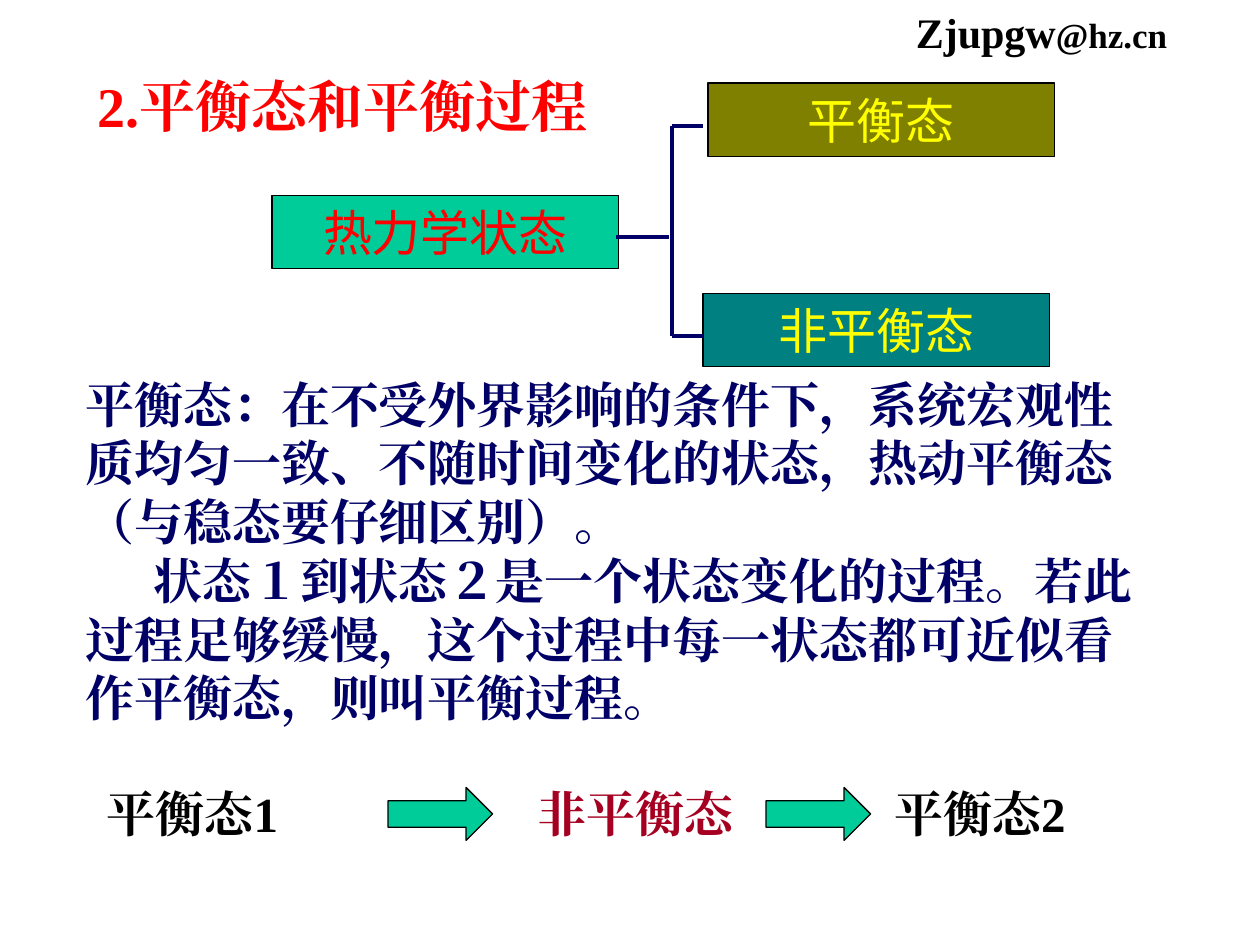
from lxml import etree
from pptx import Presentation
from pptx.dml.color import RGBColor
from pptx.enum.lang import MSO_LANGUAGE_ID as Language
from pptx.enum.shapes import MSO_CONNECTOR as Connector, MSO_SHAPE as Shape
from pptx.enum.text import MSO_ANCHOR as Anchor, PP_ALIGN as Align
from pptx.oxml.ns import qn
from pptx.util import Inches, Pt

SERIF = "Times New Roman"
NAVY, GREEN, RED, YELLOW, BLACK = "000066", "00CC99", "FF0000", "FFFF00", "000000"


def color(value):
    return RGBColor.from_string(value)


def box_inches(box):
    return [Inches(length) for length in box]


def format_run(run, size, value, name=SERIF, bold=True):
    font = run.font
    font.size, font.bold, font.name = Pt(size), bold, name
    font.color.rgb = color(value)
    font.language_id = Language.SIMPLIFIED_CHINESE
    latin = run._r.rPr.find(qn("a:latin"))
    east_asian = etree.Element(qn("a:ea"), typeface=name)
    latin.addnext(east_asian)


def add_text_shadow(run):
    effects = etree.Element(qn("a:effectLst"))
    shadow = etree.SubElement(effects, qn("a:outerShdw"),
                              dist="25400", dir="2700000", algn="tl")
    etree.SubElement(shadow, qn("a:srgbClr"), val="808080")
    run._r.rPr.find(qn("a:solidFill")).addnext(effects)


def add_title(slide, box, text):
    title = slide.shapes.title
    title.left, title.top, title.width, title.height = box_inches(box)
    frame = title.text_frame
    frame.text = text
    frame.vertical_anchor = Anchor.MIDDLE
    paragraph = frame.paragraphs[0]
    paragraph.alignment = Align.LEFT
    format_run(paragraph.runs[0], 32, RED)
    add_text_shadow(paragraph.runs[0])


def add_text(slide, box, paragraphs, value=BLACK):
    frame = slide.shapes.add_textbox(*box_inches(box)).text_frame
    frame.word_wrap = True
    for index, text in enumerate(paragraphs):
        paragraph = frame.add_paragraph() if index else frame.paragraphs[0]
        paragraph.text = text
        paragraph.line_spacing = Pt(33.6)
        if index:
            paragraph._p.get_or_add_pPr().set("indent", str(Inches(0.54)))
        format_run(paragraph.runs[0], 28, value)


def add_filled_shape(slide, kind, box, fill):
    shape = slide.shapes.add_shape(kind, *box_inches(box))
    shape.shadow.inherit = False
    shape.fill.solid()
    shape.fill.fore_color.rgb = color(fill)
    shape.line.color.rgb = color(BLACK)
    shape.line.width = Pt(0.75)
    return shape


def add_state_box(slide, left, top, text, fill, value):
    shape = add_filled_shape(slide, Shape.RECTANGLE, (left, top, 2.75, 0.58), fill)
    frame = shape.text_frame
    frame.text = text
    frame.word_wrap = False
    frame.vertical_anchor = Anchor.MIDDLE
    paragraph = frame.paragraphs[0]
    paragraph.alignment = Align.CENTER
    format_run(paragraph.runs[0], 28, value, "Roboto", False)


def add_line(slide, *ends):
    line = slide.shapes.add_connector(Connector.STRAIGHT, *box_inches(ends))
    line.line.color.rgb = color(NAVY)
    line.line.width = Pt(2.25)
    etree.SubElement(line._element.spPr, qn("a:effectLst"))


def add_state_tree(slide, left, top):
    add_state_box(slide, left, top + 0.89, "热力学状态", GREEN, RED)
    add_state_box(slide, left + 3.46, top, "平衡态", "808000", YELLOW)
    add_state_box(slide, left + 3.42, top + 1.67, "非平衡态", "008080", YELLOW)
    trunk, middle = left + 3.17, top + 1.17
    add_line(slide, left + 2.73, top + 1.22, left + 3.15, top + 1.22)
    for branch in (top + 0.34, top + 2.01):
        add_line(slide, trunk, middle, trunk, branch)
        add_line(slide, trunk, branch, trunk + 0.25, branch)


def add_process(slide, top):
    states = (("平衡态1", 0.75, BLACK), ("非平衡态", 4.17, "A50021"), ("平衡态2", 7, BLACK))
    for text, left, value in states:
        add_text(slide, (left, top, 2.05, 0.57), [text], value)
    for left in (3.08, 6.08):
        add_filled_shape(slide, Shape.RIGHT_ARROW, (left, top + 0.08, 0.83, 0.42), GREEN)


def add_address(slide, box):
    frame = slide.shapes.add_textbox(*box_inches(box)).text_frame
    frame.word_wrap = True
    for text, size in (("Zjupgw", 24), ("@hz.cn", 20)):
        run = frame.paragraphs[0].add_run()
        run.text = text
        format_run(run, size, BLACK)


def main():
    presentation = Presentation()
    presentation.slide_width, presentation.slide_height = Inches(10), Inches(7.5)
    slide = presentation.slides.add_slide(presentation.slide_layouts[5])
    add_title(slide, (0.67, 0.5, 5.17, 0.67), "2.平衡态和平衡过程")
    add_state_tree(slide, 2.16, 0.66)
    add_text(slide, (0.58, 2.92, 8.67, 2.9), [
        "平衡态：在不受外界影响的条件下，系统宏观性质均匀一致、不随时间变化的状态，"
        "热动平衡态（与稳态要仔细区别）。",
        "状态１到状态２是一个状态变化的过程。若此过程足够缓慢，"
        "这个过程中每一状态都可近似看作平衡态，则叫平衡过程。",
    ], NAVY)
    add_process(slide, 6.17)
    add_address(slide, (7.17, 0, 2.33, 0.5))
    presentation.save("out.pptx")


if __name__ == "__main__":
    main()
